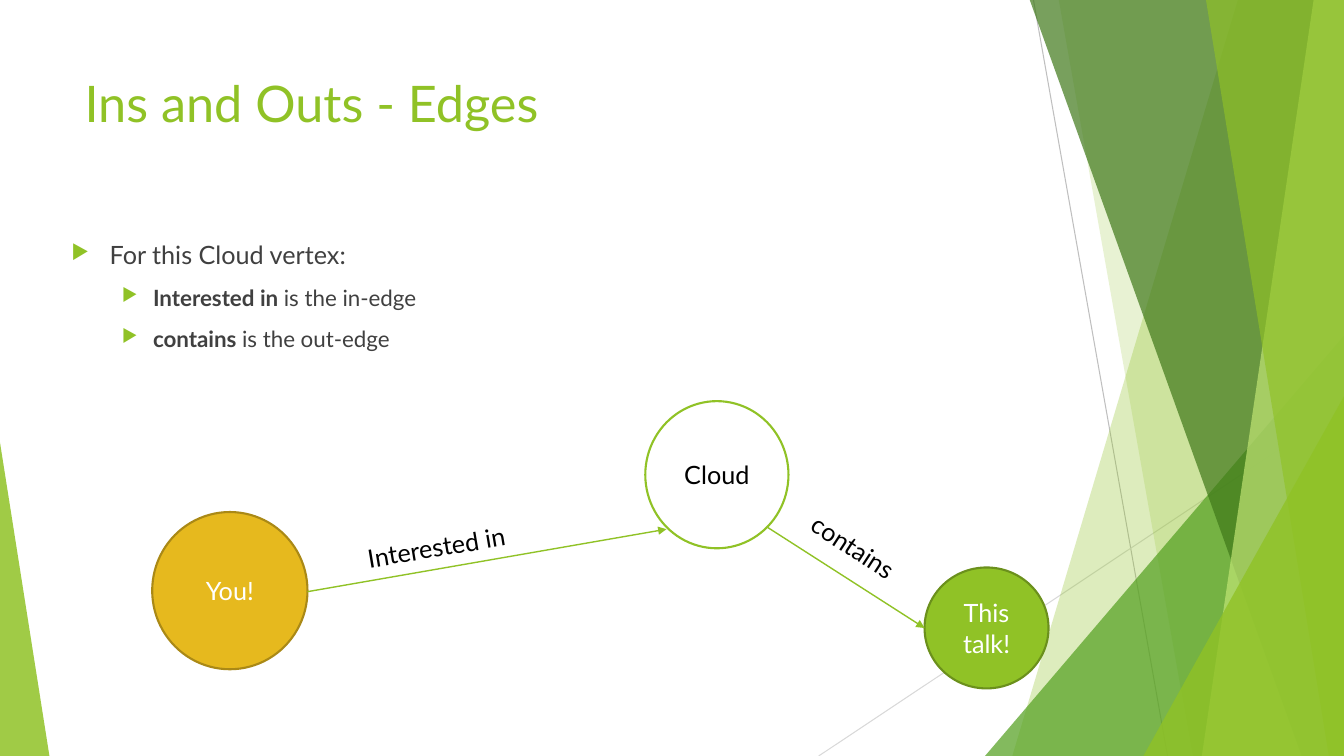
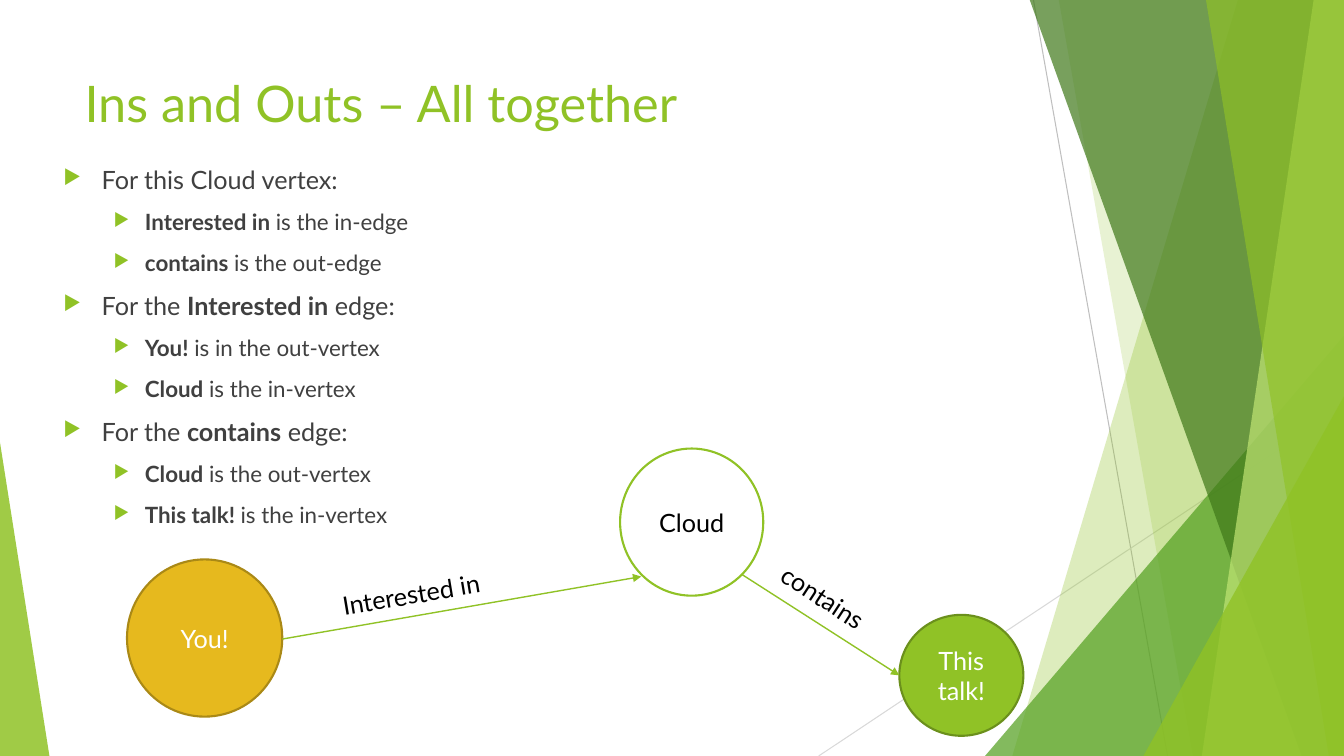
from lxml import etree
from pptx import Presentation
from pptx import util as u
from pptx.dml import color
from pptx.enum import shapes, text
from pptx.oxml.ns import qn

PX = 9144
FONT = "Lato"
LIME, GREEN, FOREST, PALE = "90C226", "54A021", "3F7819", "C0E474"
WHITE, BLACK, BODY = "FFFFFF", "000000", "404040"
rgb = color.RGBColor.from_string


def write(frame, *lines, sizes=(18,), ink=BLACK, align=None, wrap=True, bullets=False):
    frame.word_wrap = wrap
    for number, line in enumerate(lines):
        para = frame.paragraphs[0] if number == 0 else frame.add_paragraph()
        level = line.count("\t")
        para.level = level
        para.alignment = align
        if bullets:
            para.space_before = u.Pt(10 if number else 0)
            props = para._p.get_or_add_pPr()
            margin, indent = ((38, -38), (81, -31))[level]
            props.set("marL", str(margin * PX))
            props.set("indent", str(indent * PX))
            tint = etree.SubElement(props, qn("a:buClr"))
            etree.SubElement(tint, qn("a:srgbClr"), val=LIME)
            etree.SubElement(props, qn("a:buSzPct"), val="80000")
            etree.SubElement(props, qn("a:buChar"), char="▶")
        for part, words in enumerate(line.strip("\t").split("*")):
            if words:
                span = para.add_run()
                span.text = words
                span.font.name = FONT
                span.font.size = u.Pt(sizes[level])
                span.font.bold = part % 2 == 1
                span.font.color.rgb = rgb(ink)


def connect(page, ends, ink, width, arrow=False):
    line = page.shapes.add_connector(
        shapes.MSO_CONNECTOR.STRAIGHT, *[v * PX for v in ends])
    line.line.color.rgb = rgb(ink)
    line.line.width = u.Pt(width)
    props = line.element.spPr
    if arrow:
        etree.SubElement(props.find(qn("a:ln")), qn("a:tailEnd"), type="triangle")
    etree.SubElement(props, qn("a:effectLst"))


WIDTH, HEIGHT = 1333, 750

rays = [((1025, 0, 1158, HEIGHT), "BFBFBF"), ((WIDTH, 403, 812, HEIGHT), "D9D9D9")]
bands = [
    ((1228, 1004), LIME, 30),
    ((1050, 1183), LIME, 20),
    ((977, 333, 356, 417, 1), GREEN, 72),
    ((1021, 1291), FOREST, 70),
    ((1303, 1192), PALE, 70),
    ((1196, 1318), LIME, 65),
    ((1134, 393, 199, 357, 1), LIME, 80),
    ((0, 439, 49, 311, 0), LIME, 85),
]
nodes = [
    ("Cloud", (640, 398, 142, 146), WHITE, LIME, BLACK),
    ("You!", (151, 508, 154, 156), "E6B91E", "AA8916", WHITE),
    ("This talk!", (917, 563, 123, 120), LIME, "6B901C", WHITE),
]
edges = [(305, 587, 661, 525), (761, 523, 917, 623)]

vertex_lines = [
    "For this Cloud vertex:",
    "\t*Interested in *is the in-edge",
    "\t*contains *is the out-edge",
]
edge_lines = [
    "For the *Interested in* edge:",
    "\t*You!* is in the out-vertex",
    "\t*Cloud* is the in-vertex",
    "For the *contains* edge:",
    "\t*Cloud* is the out-vertex",
    "\t*This talk! *is the in-vertex",
]
pages = [
    ("Ins and Outs - Edges", (61, 233, 406, 256), vertex_lines, (0, 0), (790, 524)),
    ("Ins and Outs – All together", (53, 158, 406, 387), vertex_lines + edge_lines,
     (-25, 47), (760, 574)),
]

deck = Presentation()
deck.slide_width, deck.slide_height = WIDTH * PX, HEIGHT * PX

for title, body, lines, (dx, dy), contains_at in pages:
    page = deck.slides.add_slide(deck.slide_layouts[6])

    for ends, ink in rays:
        connect(page, ends, ink, 0.75)

    for outline, ink, opacity in bands:
        if len(outline) == 2:
            top, bottom = outline
            builder = page.shapes.build_freeform(top, -1, scale=PX)
            builder.add_line_segments([(WIDTH, -1), (WIDTH, HEIGHT), (bottom, HEIGHT)])
            band = builder.convert_to_shape()
        else:
            *box, apex = outline
            band = page.shapes.add_shape(
                shapes.MSO_SHAPE.ISOSCELES_TRIANGLE, *[v * PX for v in box])
            band.adjustments[0] = apex
        band.shadow.inherit = False
        band.fill.solid()
        band.fill.fore_color.rgb = rgb(ink)
        band.line.fill.background()
        tint = band.element.spPr.find(qn("a:solidFill")).find(qn("a:srgbClr"))
        etree.SubElement(tint, qn("a:alpha"), val=str(opacity * 1000))

    heading = page.shapes.add_textbox(74 * PX, 67 * PX, 940 * PX, 144 * PX)
    write(heading.text_frame, title, sizes=(36,), ink=LIME)
    box = page.shapes.add_textbox(*[v * PX for v in body])
    write(box.text_frame, *lines, sizes=(18, 16), ink=BODY, bullets=True)

    for name, (x, y, w, h), fill, rim, ink in nodes:
        node = page.shapes.add_shape(
            shapes.MSO_SHAPE.OVAL, (x + dx) * PX, (y + dy) * PX, w * PX, h * PX)
        node.shadow.inherit = False
        node.fill.solid()
        node.fill.fore_color.rgb = rgb(fill)
        node.line.color.rgb = rgb(rim)
        node.line.width = u.Pt(1.5)
        node.text_frame.vertical_anchor = text.MSO_ANCHOR.MIDDLE
        write(node.text_frame, name, ink=ink, align=text.PP_ALIGN.CENTER)

    for x1, y1, x2, y2 in edges:
        connect(page, (x1 + dx, y1 + dy, x2 + dx, y2 + dy), LIME, 1, arrow=True)

    labels = [
        ("Interested in", (354 + dx, 522 + dy), 165, 350.5, False),
        ("contains", contains_at, 117, 33.2, True),
    ]
    for name, (x, y), width, angle, wrap in labels:
        label = page.shapes.add_textbox(x * PX, y * PX, width * PX, 40 * PX)
        label.rotation = angle
        label.text_frame.auto_size = text.MSO_AUTO_SIZE.SHAPE_TO_FIT_TEXT
        write(label.text_frame, name, wrap=wrap)

deck.save("out.pptx")
